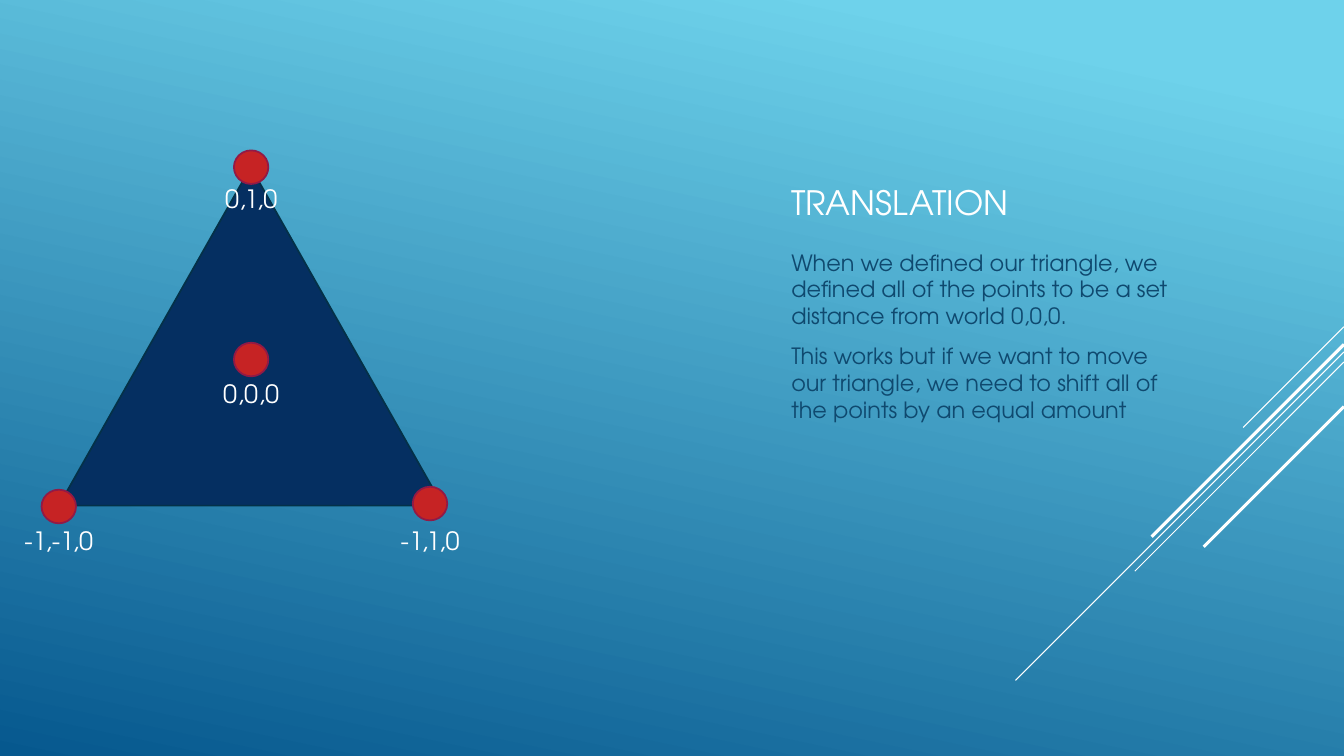
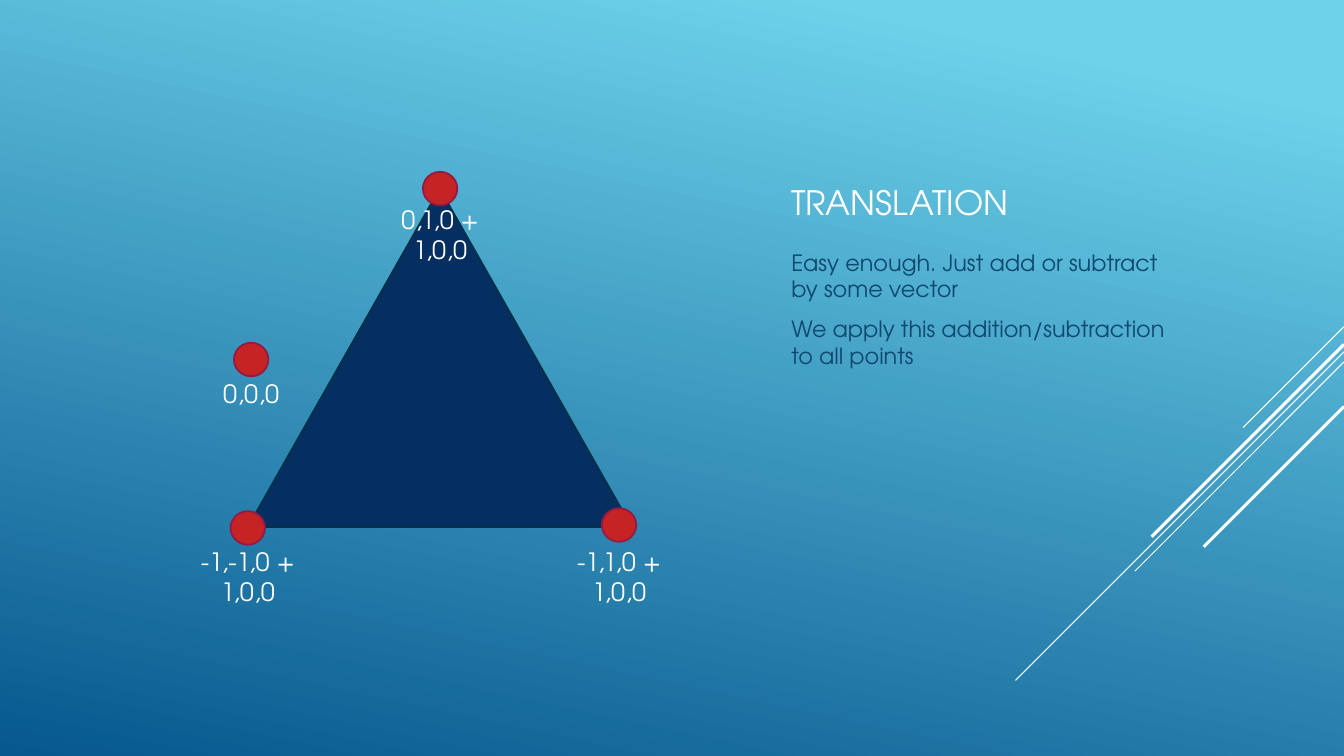
from dataclasses import dataclass

from lxml.etree import SubElement
from pptx import Presentation
from pptx.dml.color import RGBColor
from pptx.enum.shapes import MSO_CONNECTOR, MSO_SHAPE
from pptx.enum.text import MSO_ANCHOR, MSO_AUTO_SIZE, PP_ALIGN
from pptx.oxml.ns import qn
from pptx.shapes.autoshape import Shape
from pptx.slide import Slide, SlideLayout, SlideMaster
from pptx.util import Inches, Length, Pt

COLS, ROWS = 160, 90
FONT = "TeX Gyre Adventor"
WHITE = RGBColor(0xFF, 0xFF, 0xFF)
SKY = RGBColor(0x6E, 0xD2, 0xEB)
DEEP = RGBColor(0x06, 0x58, 0x8E)
INK = RGBColor(0x0F, 0x49, 0x6F)
NAVY = RGBColor(0x05, 0x2F, 0x61)
EDGE = RGBColor(0x04, 0x31, 0x48)
RED = RGBColor(0xC6, 0x23, 0x24)
WINE = RGBColor(0x92, 0x1A, 0x46)


def cell(count: float) -> Length:
    return Inches(count / 12)


@dataclass(frozen=True)
class Box:
    col: float
    row: float
    wide: float
    high: float

    def place(self) -> tuple[Length, ...]:
        return tuple(map(cell, (self.col, self.row, self.wide, self.high)))


@dataclass(frozen=True)
class Streak:
    row: float
    run: float
    weight: float


@dataclass(frozen=True)
class Point:
    name: str
    col: float
    row: float
    tag: float


@dataclass(frozen=True)
class Page:
    lines: tuple[str, ...]
    right: float = 0
    down: float = 0
    plus: str = ""


TITLE = Box(93, 9, 48, 18)
BODY = Box(93, 29, 48, 27.5)
STREAKS = (
    Streak(38.9, 12, 0.75),
    Streak(41.9, 39.1, 0.75),
    Streak(43.1, 24.9, 0.75),
    Streak(41, 22.9, 2.25),
    Streak(48.4, 16.7, 2.25),
)
CORNERS = (
    Point("0,1,0", 29.9, 19.9, 21.2),
    Point("-1,-1,0", 7, 60.3, 61.9),
    Point("-1,1,0", 51.2, 59.95, 61.9),
)
CENTRE = Point("0,0,0", 29.9, 42.8, 44.4)
PAGES = (
    Page((
        "When we defined our triangle, we defined all of the points "
        "to be a set distance from world 0,0,0.",
        "This works but if we want to move our triangle, we need to "
        "shift all of the points by an equal amount",
    )),
    Page((
        "Easy enough. Just add or subtract by some vector",
        "We apply this addition/subtraction to all points",
    ), 22.5, 2.55, " + 1,0,0"),
)


def paint(master: SlideMaster) -> None:
    fill = master.background.fill
    fill.gradient()
    fill.gradient_angle = 360 - 102
    for stop, spot, color in zip(fill.gradient_stops, (0.1, 1), (SKY, DEEP)):
        stop.position = spot
        stop.color.rgb = color


def add_streaks(slide: Slide, layout: SlideLayout) -> None:
    for key, streak in enumerate(STREAKS, 100):
        line = slide.shapes.add_connector(
            MSO_CONNECTOR.STRAIGHT, cell(COLS), cell(streak.row),
            cell(COLS - streak.run), cell(streak.row + streak.run))
        line.line.color.rgb = WHITE
        line.line.width = Pt(streak.weight)
        SubElement(line.element.spPr, qn("a:effectLst"))
        line.element.xpath(".//p:cNvPr")[0].set("id", str(key))
        layout.shapes.element.append(line.element)


def write(shape: Shape, lines: tuple[str, ...], size: float, color: RGBColor,
          align: PP_ALIGN = PP_ALIGN.LEFT,
          anchor: MSO_ANCHOR = MSO_ANCHOR.TOP) -> None:
    frame = shape.text_frame
    frame.text = "\n".join(lines)
    frame.word_wrap = True
    frame.auto_size = MSO_AUTO_SIZE.NONE
    frame.vertical_anchor = anchor
    for para in frame.paragraphs:
        para.alignment = align
        para.font.name = FONT
        para.font.size = Pt(size)
        para.font.bold = False
        para.font.color.rgb = color


def set_place(shape: Shape, box: Box) -> None:
    shape.left, shape.top, shape.width, shape.height = box.place()


def add_form(slide: Slide, kind: MSO_SHAPE, box: Box,
             fill: RGBColor, edge: RGBColor) -> None:
    form = slide.shapes.add_shape(kind, *box.place())
    form.shadow.inherit = False
    form.fill.solid()
    form.fill.fore_color.rgb = fill
    form.line.color.rgb = edge
    form.line.width = Pt(1.25)


def add_point(slide: Slide, point: Point, page: Page) -> None:
    col, row = point.col + page.right, point.row + page.down
    add_form(slide, MSO_SHAPE.FLOWCHART_CONNECTOR,
             Box(col - 2.05, row - 2, 4.1, 4), RED, WINE)
    tag = Box(col - 7, point.tag + page.down, 14, 8.5 if page.plus else 4.8)
    label = slide.shapes.add_textbox(*tag.place())
    write(label, (point.name + page.plus,), 18, WHITE, PP_ALIGN.CENTER)


def fill_page(slide: Slide, page: Page) -> None:
    title, body = slide.placeholders
    set_place(title, TITLE)
    write(title, ("TRANSLATION",), 24, WHITE, anchor=MSO_ANCHOR.BOTTOM)
    set_place(body, BODY)
    write(body, page.lines, 16, INK)
    for para in body.text_frame.paragraphs:
        para.space_before = Pt(3.2)
        para.space_after = Pt(6)
    add_form(slide, MSO_SHAPE.ISOSCELES_TRIANGLE,
             Box(7 + page.right, 19.9 + page.down, 45.7, 40.3), NAVY, EDGE)
    for point in CORNERS:
        add_point(slide, point, page)
    add_point(slide, CENTRE, Page(()))


def main() -> None:
    deck = Presentation()
    deck.slide_width, deck.slide_height = cell(COLS), cell(ROWS)
    paint(deck.slide_master)
    layout = deck.slide_layouts.get_by_name("Section Header")
    slides = [deck.slides.add_slide(layout) for _ in PAGES]
    add_streaks(slides[0], layout)
    for slide, page in zip(slides, PAGES):
        fill_page(slide, page)
    deck.save("out.pptx")


if __name__ == "__main__":
    main()
